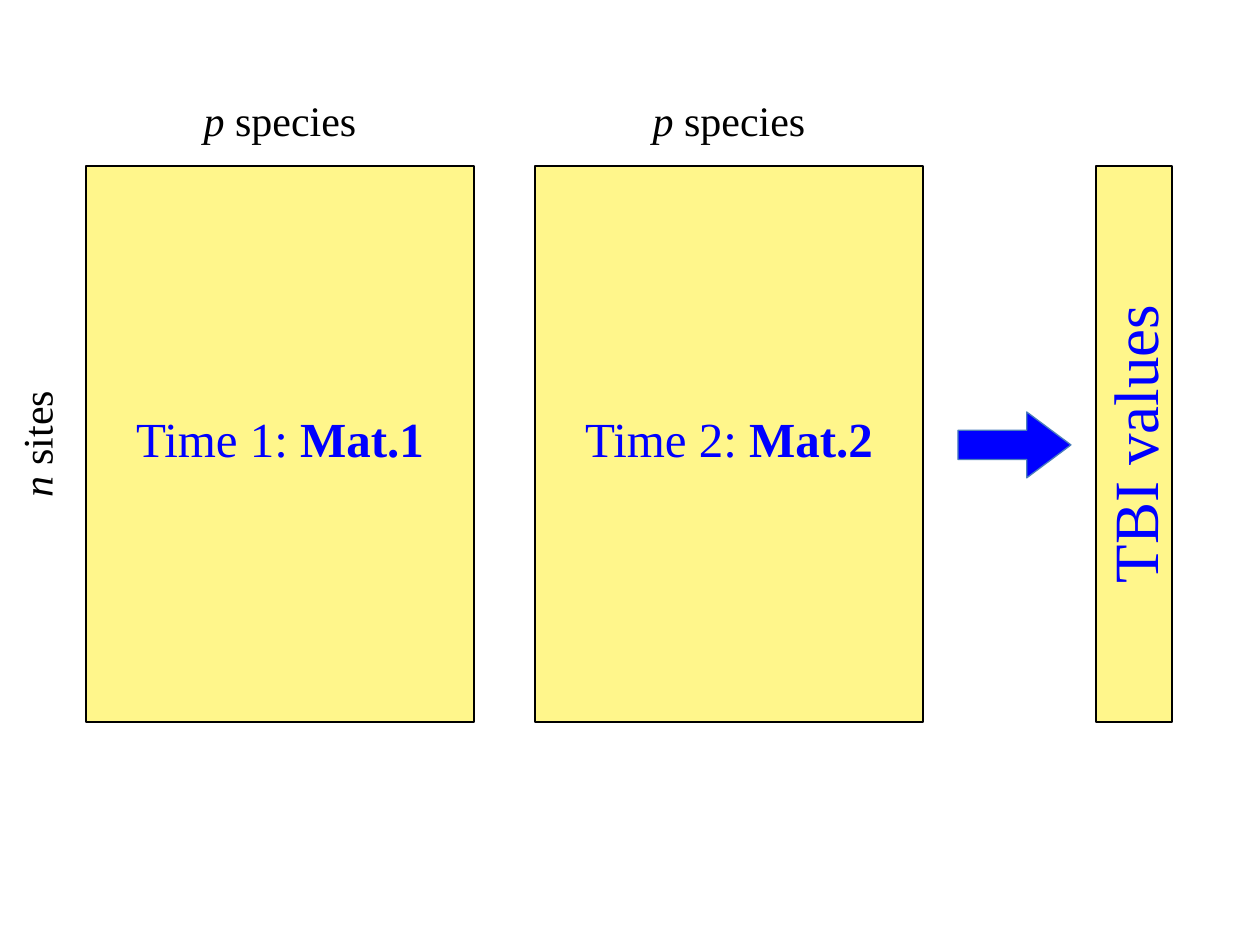
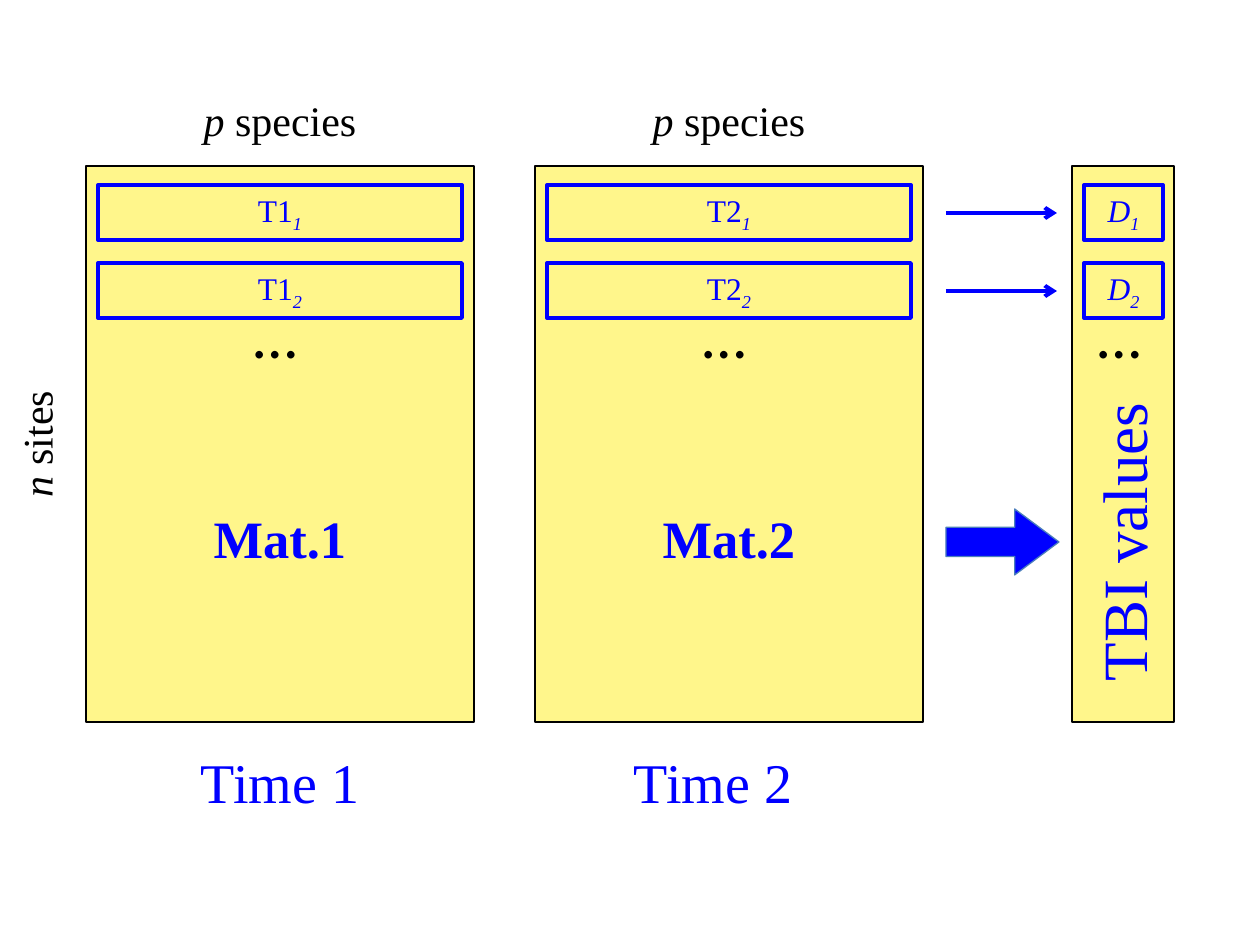
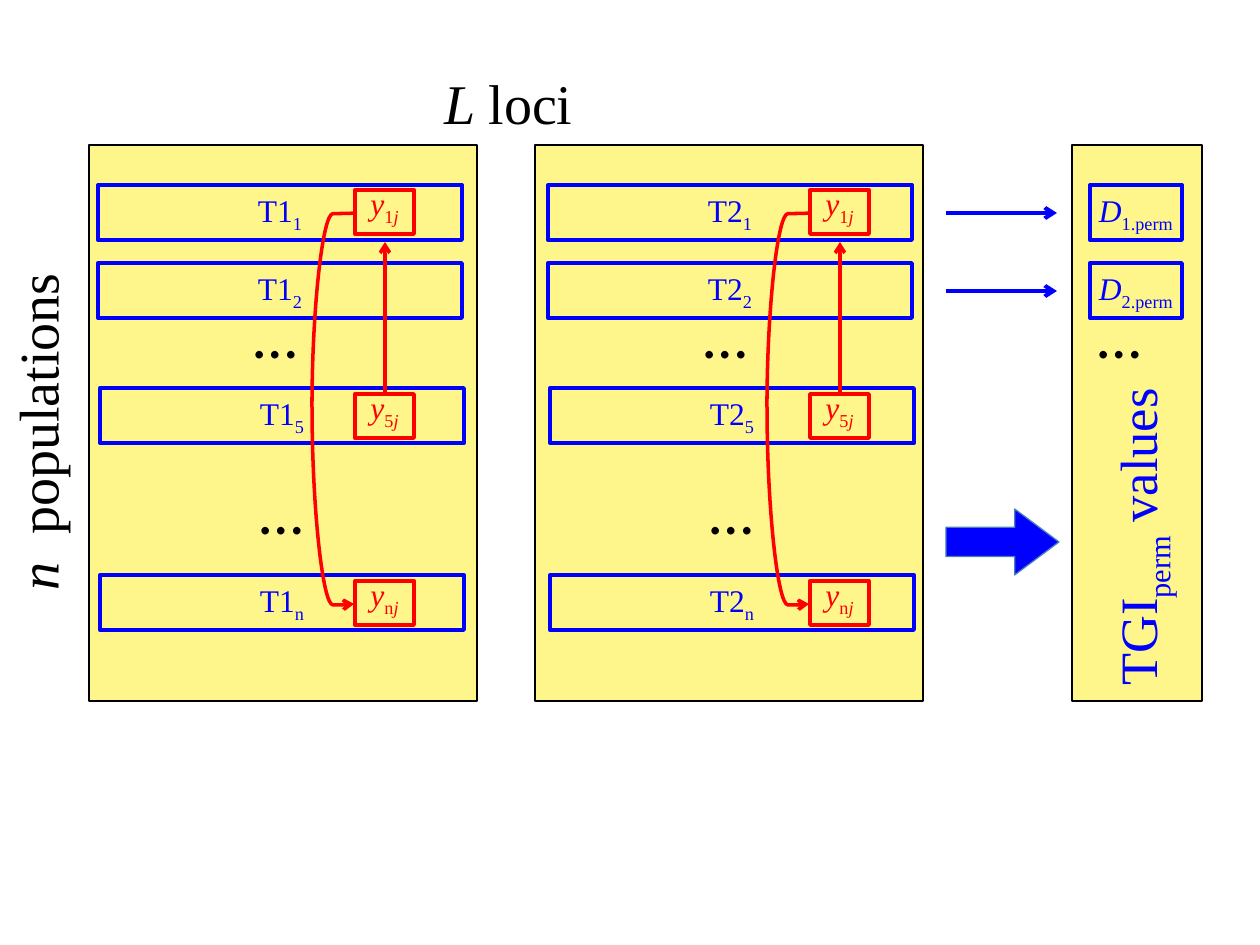
from pptx import Presentation
from pptx.util import Emu, Pt
from pptx.dml.color import RGBColor
from pptx.enum.shapes import MSO_SHAPE as SHAPE, MSO_CONNECTOR as LINK
from pptx.enum.text import PP_ALIGN as ALIGN, MSO_AUTO_SIZE as FIT
from pptx.oxml.ns import qn
from lxml.etree import SubElement as sub

# Shared look
BLUE, RED, BLACK, CREAM, STEEL = "0000FF", "FF0000", "000000", "FFF68B", "4B7EBC"
SERIF, SANS = "Times New Roman", "Calibri"
WIDE, TALL = 388, 556        # a matrix
LEFT, RIGHT = 86, 535        # the two matrices
TOP = 166
ROWS = (185, 263)            # first two rows
ROW_W, ROW_H = 364, 55
BAR = 1072                   # the column of values


def px(n):
    return Emu(round(n * 914400 / 126))


def hue(code):
    return RGBColor.from_string(code)


def text(slide, box, runs, size=24, color=BLUE, font=SERIF, turn=0,
         wrap=False, align=ALIGN.CENTER, pad=None):
    """runs: (words, marks); marks are b bold, i italic, _ subscript."""
    part = slide.shapes.add_textbox(*map(px, box))
    part.rotation = turn
    frame = part.text_frame
    frame.word_wrap = wrap
    frame.auto_size = FIT.SHAPE_TO_FIT_TEXT
    if pad:
        frame.margin_right = px(pad)
    para = frame.paragraphs[0]
    para.alignment = align
    for words, marks in runs:
        run = para.add_run()
        run.text = words
        face = run.font
        face.size, face.name = Pt(size), font
        face.color.rgb = hue(color)
        face.bold, face.italic = "b" in marks, "i" in marks
        if "_" in marks:
            run._r.get_or_add_rPr().set("baseline", "-25000")


def block(slide, box, fill=CREAM, line=BLACK, width=0.75, kind=SHAPE.RECTANGLE):
    part = slide.shapes.add_shape(kind, *map(px, box))
    part.shadow.inherit = False
    if fill:
        part.fill.solid()
        part.fill.fore_color.rgb = hue(fill)
    else:
        part.fill.background()
    part.line.color.rgb = hue(line)
    part.line.width = Pt(width)
    return part


def link(slide, ends, color=BLUE, width=2.25, head=True, turn=0, bend=None):
    """Line between two points; bend makes it a curve with that adjustment."""
    kind = LINK.STRAIGHT if bend is None else LINK.CURVE
    part = slide.shapes.add_connector(kind, *map(px, ends))
    part.line.color.rgb = hue(color)
    part.line.width = Pt(width)
    props = part._element.spPr
    if head:
        sub(part.line._get_or_add_ln(), qn("a:tailEnd"), type="arrow")
    sub(props, qn("a:effectLst"))
    if turn:
        props.find(qn("a:xfrm")).set("rot", str(turn * 60000))
    if bend is not None:
        geom = props.find(qn("a:prstGeom"))
        guides = geom.find(qn("a:avLst"))
        if guides is None:
            guides = sub(geom, qn("a:avLst"))
        sub(guides, qn("a:gd"), name="adj1", fmla=f"val {bend}")


def cell(slide, box, runs, wide, color=BLUE, fill=None, drop=0):
    """Outlined box with a label centred on it."""
    x, y, w, h = box
    block(slide, box, fill, color, 2.25)
    text(slide, (x + (w - wide) / 2, y + drop, wide, 50), runs, 18, color)


def row(slide, x, y, time, sub_run, fill=None):
    cell(slide, (x, y, ROW_W, ROW_H), [(f"T{time}", ""), sub_run], 72, fill=fill)


def dots(slide, x, y=289):
    text(slide, (x, y, 78, 89), [("…", "")], 36, BLACK, SANS, align=ALIGN.LEFT)


def side(slide, mid, wide, high, runs, size):
    """Upright label left of the matrices, centred on the point mid."""
    text(slide, (mid[0] - wide / 2, mid[1] - high / 2, wide, high),
         runs, size, BLACK, turn=270)


def matrix(slide, x, label, drop, high, size):
    block(slide, (x, TOP, WIDE, TALL))
    text(slide, (x + 97, TOP - 78, 194, 63), [("p ", "i"), ("species", "")],
         color=BLACK, wrap=True)
    text(slide, (x + 37, TOP + drop, 314, high), label, size, wrap=True)


def bar(slide, x, y, wide, mid, label, size, span, high):
    """Column of values, with an upright label centred at height mid."""
    block(slide, (x, y, wide, TALL))
    text(slide, (x + (wide - span) / 2, mid - high / 2, span, high),
         label, size, turn=270)


def arrow(slide, x, y):
    part = block(slide, (x, y, 113, 66), BLUE, STEEL, kind=SHAPE.RIGHT_ARROW)
    part.adjustments[0], part.adjustments[1] = 0.443, 0.671


def flow(slide):
    """Arrows from the first rows to the values, and the big one below."""
    for y in ROWS:
        link(slide, (946, y + 28, 1057, y + 28))
    arrow(slide, 946, 509)


def swap(slide, x, tops):
    """Red cells of one column and the moves between them."""
    for y, mark in zip(tops, "15n"):
        cell(slide, (x, y, 59, 44), [("y", "i"), (mark, "_"), ("j", "i_")],
             57, RED, drop=-12)
    first, fifth, last = tops
    link(slide, (x + 30, fifth, x + 30, first + 52), RED, 2)
    # Curve in two halves, each laid flat and then turned upright
    start, mid, end = first + 23, first + 217, last + 23
    for top, low, bend, turn in ((start, mid, 300, 90), (mid, end, 100500, 270)):
        half, level = (low - top) / 2, (top + low) / 2
        a, b = x - 22 - half, x - 22 + half
        ends = (a, b) if turn == 90 else (b, a)
        link(slide, (ends[0], level - 21, ends[1], level + 21), RED, 2,
             turn == 270, turn, bend)


def plain(slide):
    """Two matrices give a column of values."""
    side(slide, (36, 444), 136, 63, [("n", "i"), (" sites", "")], 24)
    for time, x in enumerate((LEFT, RIGHT), 1):
        matrix(slide, x, [(f"Time {time}: ", ""), (f"Mat.{time}", "b")], 236, 72, 28)
    arrow(slide, 958, 412)
    bar(slide, 1096, TOP, 76, 444, [("TBI values", "")], 36, 306, 89)


def paired(slide):
    """The same, row by row."""
    side(slide, (36, 444), 136, 63, [("n", "i"), (" sites", "")], 24)
    for time, x in enumerate((LEFT, RIGHT), 1):
        matrix(slide, x, [(f"Mat.{time}", "b")], 334, 77, 30)
        for n, y in enumerate(ROWS, 1):
            row(slide, x + 12, y, time, (str(n), "i_"))
        dots(slide, x + 155)
        text(slide, (x + 37, 741, 314, 81), [(f"Time {time}", "")], 32,
             wrap=True, pad=44 if time == 2 else None)
    bar(slide, BAR, TOP, 102, 542, [("TBI values", "")], 36, 306, 89)
    for n, y in enumerate(ROWS, 1):
        cell(slide, (1084, y, 79, ROW_H), [("D", "i"), (str(n), "i_")], 63)
    dots(slide, 1085)
    flow(slide)


def permuted(slide):
    """Rows with one column permuted in both matrices."""
    side(slide, (37, 432), 347, 81, [("n\u2002", "i"), ("populations", "")], 32)
    text(slide, (297, 62, 423, 81), [("L ", "i"), ("loci", "")], 32, BLACK, wrap=True)
    for time, x, base, col in ((1, 89, 98, 355), (2, RIGHT, 548, 810)):
        block(slide, (x, 145, WIDE, TALL))
        for n, y in enumerate(ROWS, 1):
            row(slide, base, y, time, (str(n), "_"))
        row(slide, base + 2, 388, time, ("5", "_"), CREAM)
        row(slide, base + 2, 575, time, ("n", "_"))
        dots(slide, base + 143)
        dots(slide, base + 149, 465)
        swap(slide, col, (190, 394, 581))
    bar(slide, BAR, 145, 130, 537,
        [("TGI", ""), ("perm", "_"), (" values", "")], 30, 335, 77)
    for n, y in enumerate(ROWS, 1):
        cell(slide, (1090, y, 92, ROW_H), [("D", "i"), (f"{n}.perm", "_")], 112)
    dots(slide, 1085)
    flow(slide)


deck = Presentation()
deck.slide_width, deck.slide_height = px(1260), px(945)
for draw in (plain, paired, permuted):
    draw(deck.slides.add_slide(deck.slide_layouts[6]))
deck.save("out.pptx")
